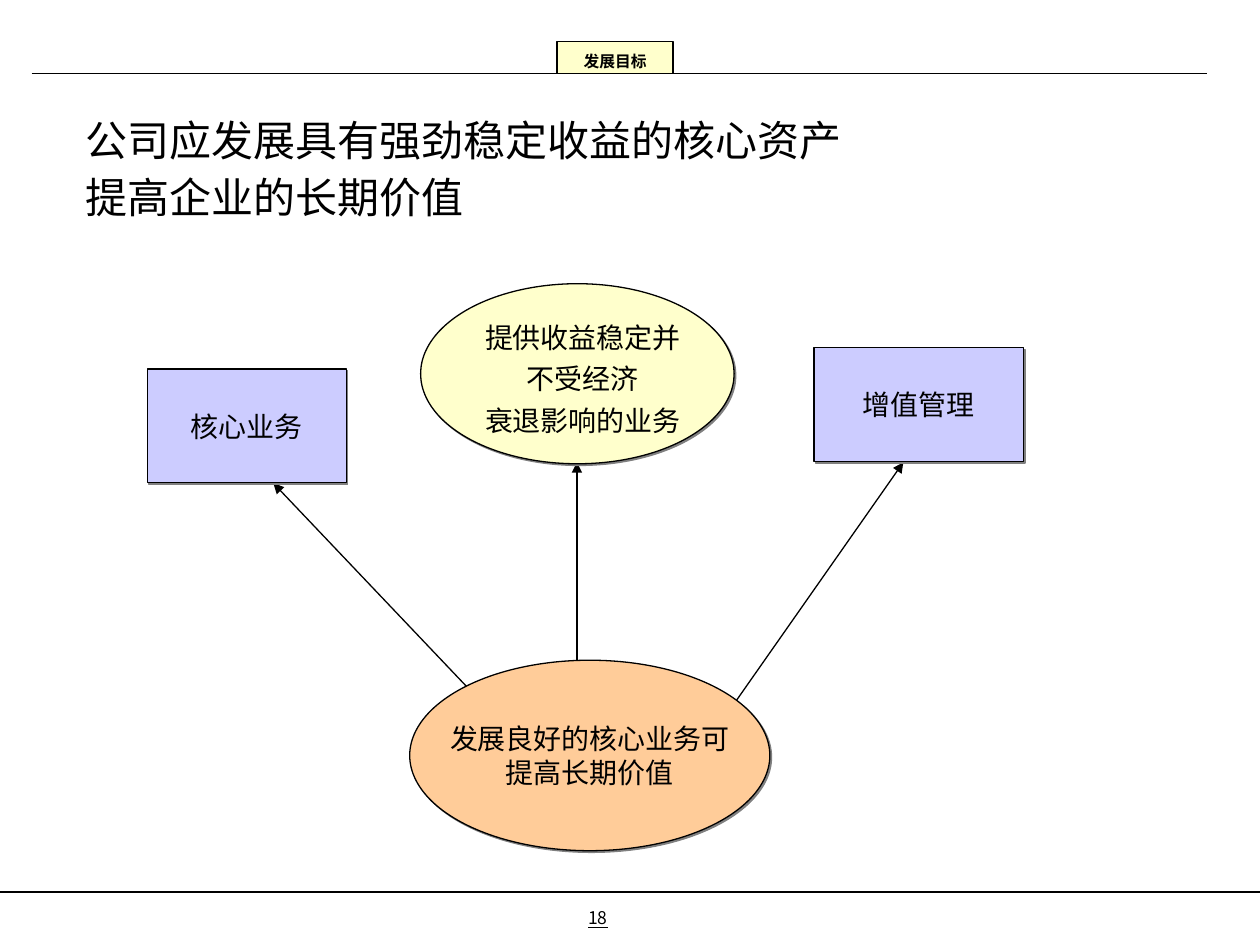
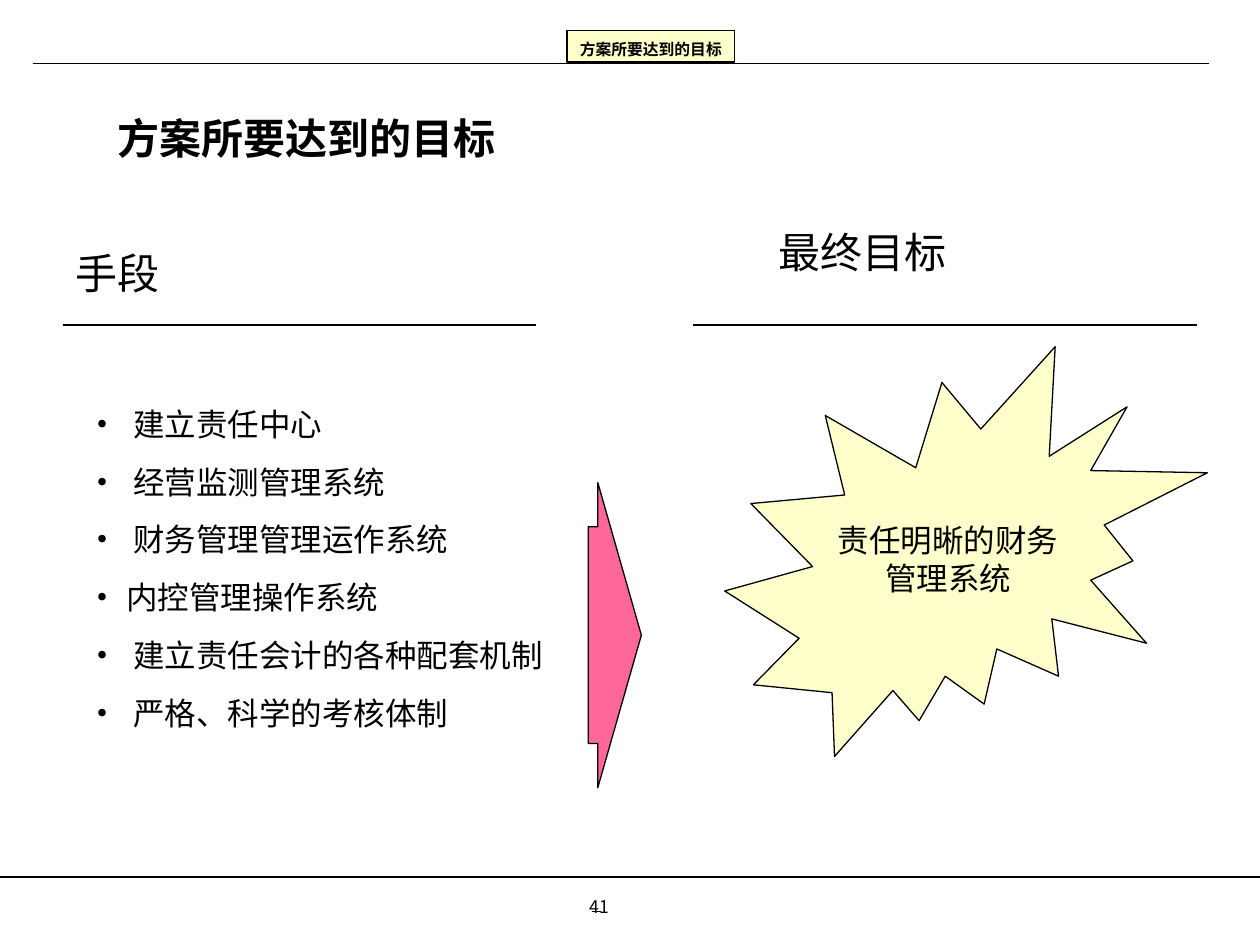
from dataclasses import dataclass
from typing import NamedTuple

from lxml import etree
from pptx import Presentation
from pptx.dml.color import RGBColor
from pptx.enum.shapes import MSO_CONNECTOR, MSO_SHAPE
from pptx.enum.text import MSO_ANCHOR, MSO_AUTO_SIZE, PP_ALIGN
from pptx.oxml.ns import qn
from pptx.util import Cm, Pt

RECTANGLE, ELLIPSE = MSO_SHAPE.RECTANGLE, MSO_SHAPE.OVAL
BURST, RIGHT_ARROW = MSO_SHAPE.EXPLOSION2, MSO_SHAPE.RIGHT_ARROW
STRAIGHT = MSO_CONNECTOR.STRAIGHT
LEFT, CENTER = PP_ALIGN.LEFT, PP_ALIGN.CENTER
TOP, MIDDLE, BOTTOM = MSO_ANCHOR.TOP, MSO_ANCHOR.MIDDLE, MSO_ANCHOR.BOTTOM
NO_AUTOFIT = MSO_AUTO_SIZE.NONE
TITLE_ONLY = 5


@dataclass(frozen=True)
class Theme:
    ink: str = "000000"
    cream: str = "FFFFCC"
    lilac: str = "CCCCFF"
    peach: str = "FFCC99"
    pink: str = "FF6699"
    shadow: str = "808080"
    latin: str = "Times New Roman"
    sans: str = "Noto Sans CJK SC"
    heading: int = 24
    item: int = 18
    label: int = 16
    number: int = 10
    tag: int = 9
    leading: float = 1.22
    hairline: float = 0.25
    outline: float = 0.75
    footer_line: float = 1


THEME = Theme()


class Area(NamedTuple):
    left: float
    top: float
    width: float
    height: float

    def lengths(self) -> list:
        return [Cm(value) for value in self]


class Segment(NamedTuple):
    x1: float
    y1: float
    x2: float
    y2: float


@dataclass(frozen=True)
class TextStyle:
    size: float
    font: str = THEME.latin
    bold: bool = False
    underline: bool = False
    align: int = LEFT
    tightness: float = 1
    gap: float = 0


@dataclass(frozen=True)
class Node:
    kind: int
    area: Area
    fill: str
    lines: tuple = ()
    size: int = THEME.label
    shadow: bool = True


@dataclass(frozen=True)
class PageFrame:
    title: tuple
    title_area: Area
    title_style: TextStyle
    tag: str
    tag_area: Area
    header_rule: Segment
    footer_y: float
    number: str
    number_area: Area
    number_underlined: bool = False


class ListItem(NamedTuple):
    text: str
    indent: float = 0.74


def set_all(target, values: dict) -> None:
    for name, value in values.items():
        setattr(target, name, value)


def write_lines(frame, lines: tuple, style: TextStyle) -> None:
    for index, line in enumerate(lines):
        para = frame.paragraphs[0] if index == 0 else frame.add_paragraph()
        set_all(para, {
            "alignment": style.align,
            "line_spacing": Pt(round(style.size * THEME.leading * style.tightness, 1)),
            "space_before": Pt(style.gap if index else 0),
        })
        span = para.add_run()
        span.text = line
        span.font.color.rgb = RGBColor.from_string(THEME.ink)
        set_all(span.font, {
            "size": Pt(style.size),
            "bold": style.bold,
            "underline": style.underline,
            "name": style.font,
        })
        east_asian = etree.SubElement(span.font._element, qn("a:ea"))
        east_asian.set("typeface", THEME.sans)


def format_frame(frame, anchor: int, wrap: bool) -> None:
    set_all(frame, {
        "word_wrap": wrap,
        "auto_size": NO_AUTOFIT,
        "vertical_anchor": anchor,
        "margin_left": Cm(0.25),
        "margin_right": Cm(0.25),
        "margin_top": Cm(0.13),
        "margin_bottom": Cm(0.13),
    })


def add_text(page, area: Area, lines: tuple, style: TextStyle, wrap: bool = True):
    box = page.shapes.add_textbox(*area.lengths())
    format_frame(box.text_frame, TOP, wrap)
    write_lines(box.text_frame, lines, style)
    return box


def add_title(page, frame: PageFrame) -> None:
    title = page.shapes.title
    set_all(title, dict(zip(Area._fields, frame.title_area.lengths())))
    format_frame(title.text_frame, TOP, True)
    write_lines(title.text_frame, frame.title, frame.title_style)


def add_node(page, node: Node):
    shape = page.shapes.add_shape(node.kind, *node.area.lengths())
    shape.fill.solid()
    shape.fill.fore_color.rgb = RGBColor.from_string(node.fill)
    shape.line.color.rgb = RGBColor.from_string(THEME.ink)
    shape.line.width = Pt(THEME.outline)
    shape.shadow.inherit = False
    if node.shadow:
        add_shadow(shape)
    format_frame(shape.text_frame, MIDDLE, False)
    write_lines(shape.text_frame, node.lines, TextStyle(node.size, align=CENTER))
    return shape


def add_shadow(shape) -> None:
    effects = shape._element.spPr.find(qn("a:effectLst"))
    shadow = etree.SubElement(effects, qn("a:outerShdw"), blurRad="0",
                              dist=str(Pt(1.4)), dir="2700000", algn="ctr", rotWithShape="0")
    etree.SubElement(shadow, qn("a:srgbClr"), val=THEME.shadow)


def add_line(page, segment: Segment, width: float = THEME.outline, arrow: bool = False) -> None:
    line = page.shapes.add_connector(STRAIGHT, *(Cm(value) for value in segment))
    line.line.color.rgb = RGBColor.from_string(THEME.ink)
    line.line.width = Pt(width)
    if arrow:
        etree.SubElement(line.line._get_or_add_ln(), qn("a:tailEnd"), type="triangle")
    etree.SubElement(line._element.spPr, qn("a:effectLst"))


def add_list(page, area: Area, items: tuple) -> None:
    box = page.shapes.add_textbox(*area.lengths())
    format_frame(box.text_frame, TOP, True)
    style = TextStyle(THEME.item, gap=11)
    write_lines(box.text_frame, tuple(item.text for item in items), style)
    for para, item in zip(box.text_frame.paragraphs, items):
        properties = para._p.get_or_add_pPr()
        properties.set("marL", str(Cm(item.indent)))
        properties.set("indent", str(-Cm(item.indent)))
        colour = etree.SubElement(properties, qn("a:buClr"))
        etree.SubElement(colour, qn("a:srgbClr"), val=THEME.ink)
        etree.SubElement(properties, qn("a:buFont"), typeface=THEME.latin)
        etree.SubElement(properties, qn("a:buChar"), char="•")


def add_page(deck, frame: PageFrame):
    """Add a slide with the shared title, header tag, rules and page number."""
    page = deck.slides.add_slide(deck.slide_layouts[TITLE_ONLY])
    add_title(page, frame)
    add_line(page, frame.header_rule, THEME.hairline)
    tag = add_node(page, Node(RECTANGLE, frame.tag_area, THEME.cream, shadow=False))
    format_frame(tag.text_frame, BOTTOM, False)
    tag.text_frame.margin_bottom = Cm(0.06)
    write_lines(tag.text_frame, (frame.tag,),
                TextStyle(THEME.tag, THEME.sans, bold=True, align=CENTER))
    add_line(page, Segment(0, frame.footer_y, 25.4, frame.footer_y), THEME.footer_line)
    add_text(page, frame.number_area, (frame.number,),
             TextStyle(THEME.number, THEME.sans, underline=frame.number_underlined), wrap=False)
    return page


def build_core_assets(deck) -> None:
    page = add_page(deck, PageFrame(
        title=("公司应发展具有强劲稳定收益的核心资产", "提高企业的长期价值"),
        title_area=Area(1.47, 2.58, 17.78, 2),
        title_style=TextStyle(THEME.heading, tightness=0.6, gap=15),
        tag="发展目标",
        tag_area=Area(11.23, 0.84, 2.34, 0.64),
        header_rule=Segment(0.64, 1.47, 24.33, 1.47),
        footer_y=17.98,
        number="18",
        number_area=Area(11.61, 18.15, 0.91, 0.69),
        number_underlined=True,
    ))
    arrows = (
        Segment(14.81, 14.17, 18.21, 9.32),
        Segment(9.53, 13.97, 5.51, 9.74),
        Segment(11.63, 13.34, 11.63, 9.32),
    )
    for arrow in arrows:
        add_line(page, arrow, arrow=True)
    nodes = (
        Node(RECTANGLE, Area(2.97, 7.44, 4.01, 2.29), THEME.lilac, ("核心业务",)),
        Node(RECTANGLE, Area(16.41, 7.01, 4.22, 2.29), THEME.lilac, ("增值管理",)),
        Node(ELLIPSE, Area(8.26, 13.31, 7.26, 3.84), THEME.peach,
             ("发展良好的核心业务可", "提高长期价值")),
        Node(ELLIPSE, Area(8.48, 5.72, 6.32, 3.63), THEME.cream),
    )
    for node in nodes:
        add_node(page, node)
    add_text(page, Area(8.69, 6.52, 6.12, 2.39),
             ("提供收益稳定并", "不受经济", "衰退影响的业务"),
             TextStyle(THEME.label, align=CENTER, tightness=0.7, gap=10))


def build_plan_goals(deck) -> None:
    heading = TextStyle(THEME.heading)
    page = add_page(deck, PageFrame(
        title=("方案所要达到的目标",),
        title_area=Area(2.11, 2.11, 9.32, 1.27),
        title_style=TextStyle(THEME.heading, bold=True),
        tag="方案所要达到的目标",
        tag_area=Area(11.43, 0.61, 3.38, 0.64),
        header_rule=Segment(0.66, 1.27, 24.38, 1.27),
        footer_y=17.68,
        number="41",
        number_area=Area(11.64, 17.93, 0.91, 0.69),
    ))
    add_text(page, Area(1.27, 4.85, 9.96, 1.27), ("手段",), heading)
    add_text(page, Area(15.44, 4.42, 8.26, 1.27), ("最终目标",), heading)
    for start, end in ((1.27, 10.8), (13.97, 24.13)):
        add_line(page, Segment(start, 6.55, end, 6.55))
    add_list(page, Area(1.7, 8.02, 9.73, 6.81), (
        ListItem("建立责任中心"),
        ListItem("经营监测管理系统"),
        ListItem("财务管理管理运作系统"),
        ListItem("内控管理操作系统", indent=0.6),
        ListItem("建立责任会计的各种配套机制"),
        ListItem("严格、科学的考核体制"),
    ))
    add_node(page, Node(BURST, Area(14.61, 6.99, 9.73, 8.26), THEME.cream,
                        ("责任明晰的财务", "管理系统"), THEME.item, shadow=False))
    arrow = add_node(page, Node(RIGHT_ARROW, Area(11.86, 9.73, 1.07, 6.15),
                                THEME.pink, shadow=False))
    arrow.adjustments[0], arrow.adjustments[1] = 0.71, 0.82
    add_line(page, Segment(11.94, 18.38, 12.12, 18.38))


def main() -> None:
    deck = Presentation()
    deck.slide_width, deck.slide_height = Cm(25.4), Cm(19.05)
    build_core_assets(deck)
    build_plan_goals(deck)
    deck.save("out.pptx")


if __name__ == "__main__":
    main()
